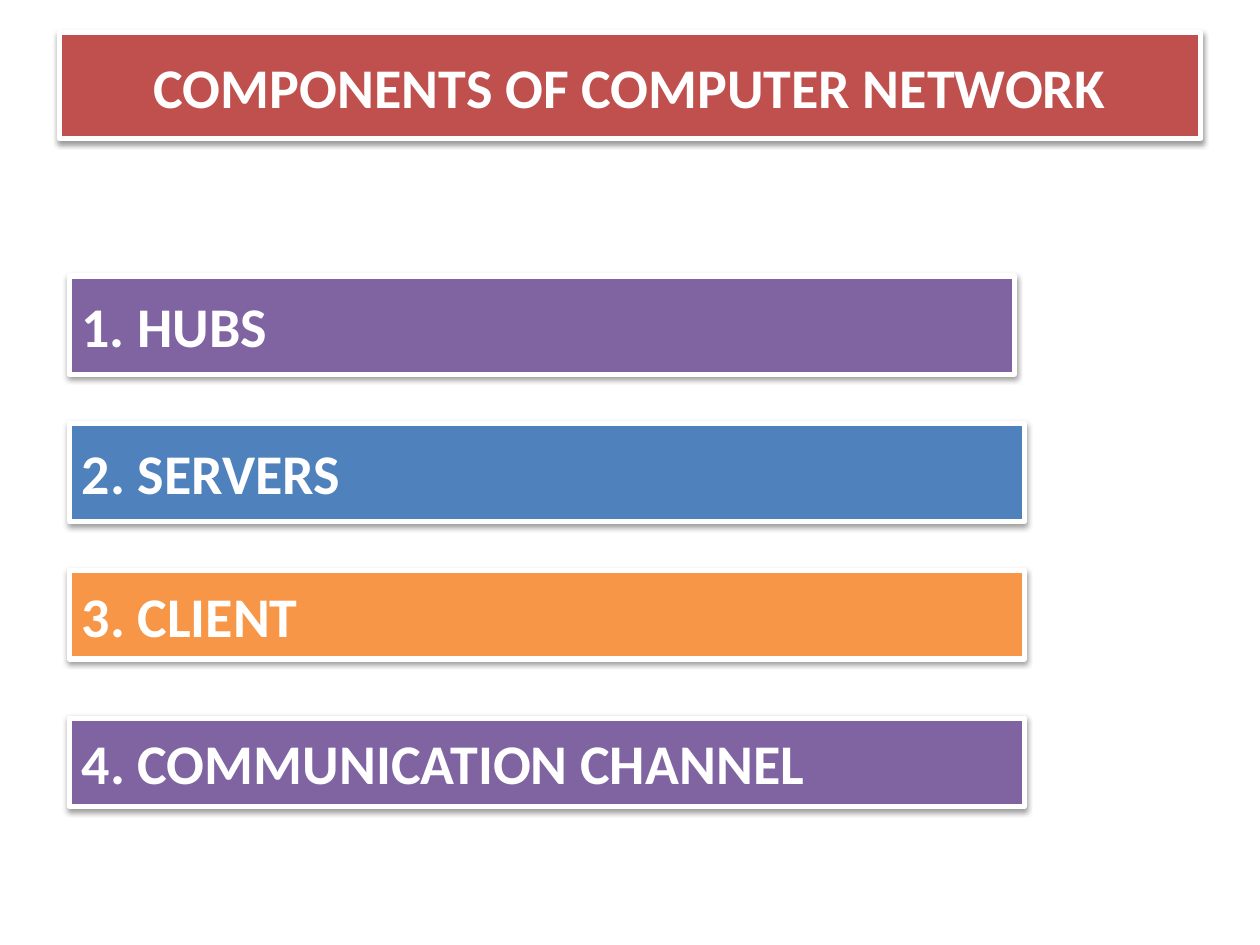
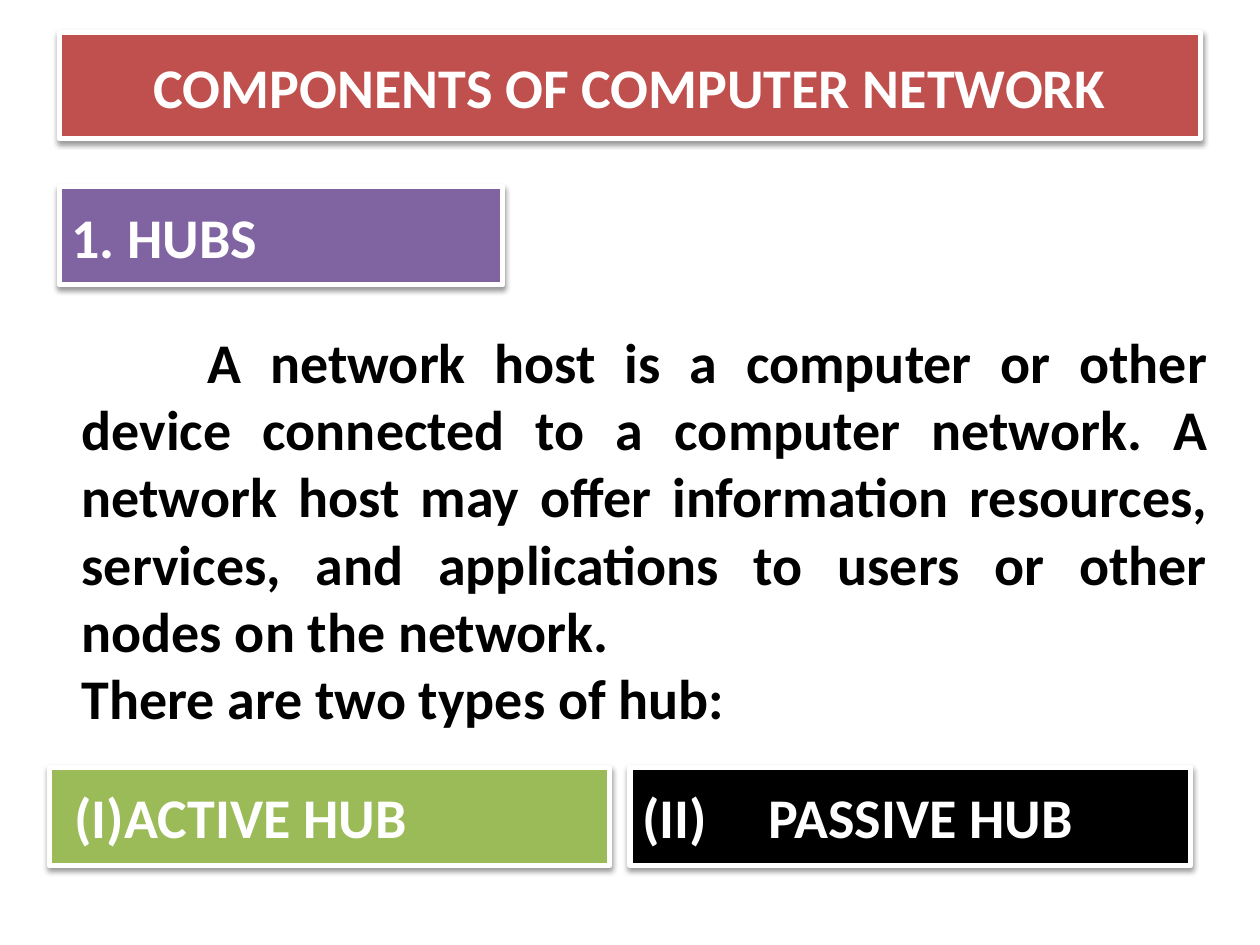
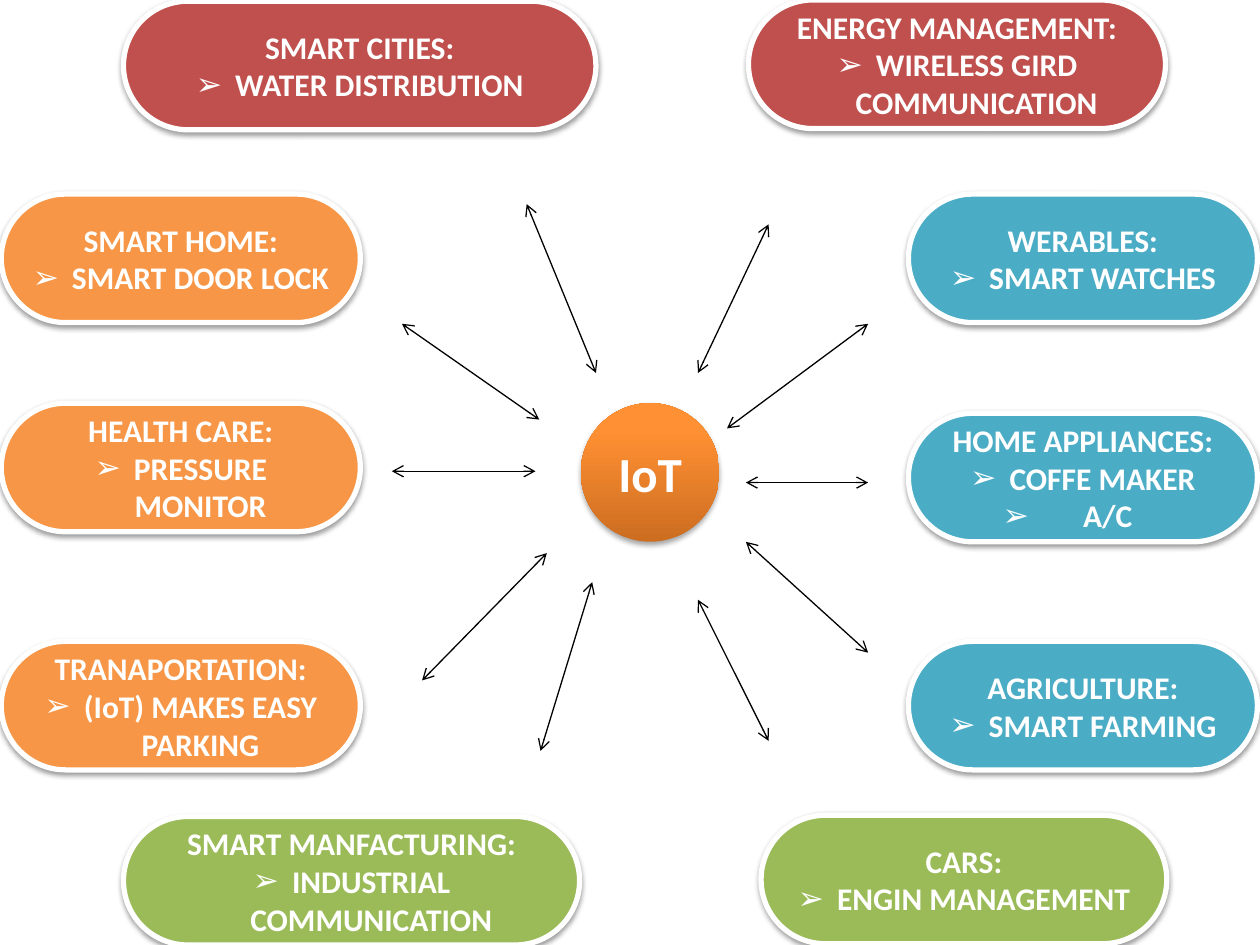
from lxml import etree
from pptx import Presentation
from pptx import util as u
from pptx.dml import color
from pptx.enum import shapes, text
from pptx.oxml import ns

PAGE = (0, 0, 720, 540)
COLORS = {
    "red": "C0504D", "purple": "8064A2", "blue": "4F81BD", "orange": "F79646",
    "green": "9BBB59", "teal": "4BACC6", "black": "000000", "white": "FFFFFF",
}
FONT = {"name": "Calibri", "bold": True}
INSETS = {"margin_left": u.Pt(7.2), "margin_right": u.Pt(7.2),
          "margin_top": u.Pt(3.6), "margin_bottom": u.Pt(3.6), "word_wrap": True}
ALIGN = text.PP_ALIGN
BULLET = "➢"
TITLE = "COMPONENTS OF COMPUTER NETWORK"


def paint(name):
    """Return the colour for a palette name or a hex string."""
    return color.RGBColor.from_string(COLORS.get(name, name))


def apply(target, values):
    """Set each named attribute of the target."""
    for name, value in values.items():
        setattr(target, name, value)


def child(parent, tag, **attributes):
    """Append a DrawingML element with the given attributes."""
    return etree.SubElement(parent, ns.qn(f"a:{tag}"),
                            {key: str(value) for key, value in attributes.items()})


def points(box):
    """Turn the numbers of a box into lengths."""
    return [u.Pt(value) for value in box]


def within(box, left, top, width, height):
    """Return a box placed relative to the corner of another."""
    return box[0] + left, box[1] + top, width, height


def write(frame, lines, size, ink="white", anchor=text.MSO_ANCHOR.MIDDLE):
    """Fill a frame with (words, alignment, margin, indent, bullet) lines."""
    apply(frame, {**INSETS, "vertical_anchor": anchor})
    for index, (words, alignment, margin, indent, bullet) in enumerate(lines):
        para = frame.add_paragraph() if index else frame.paragraphs[0]
        para.alignment = alignment
        layout = para._p.get_or_add_pPr()
        layout.set("marL", str(int(u.Pt(margin))))
        layout.set("indent", str(int(u.Pt(indent))))
        if bullet:
            child(layout, "buFont", typeface="Arial")
            child(layout, "buChar", char=bullet)
        span = para.add_run()
        span.text = words
        apply(span.font, {**FONT, "size": u.Pt(size)})
        span.font.color.rgb = paint(ink)


def add_solid(page, kind, box, fill, alpha=38, distance=1.6):
    """Add a preset shape with a white outline and a soft shadow below."""
    shape = page.shapes.add_shape(kind, *points(box))
    shape.fill.solid()
    shape.fill.fore_color.rgb = paint(fill)
    shape.line.color.rgb = paint("white")
    shape.line.width = u.Pt(3)
    shape.shadow.inherit = False
    effects = shape._element.spPr.find(ns.qn("a:effectLst"))
    shadow = child(effects, "outerShdw", blurRad=int(u.Pt(3.1)), dist=int(u.Pt(distance)),
                   dir=5400000, rotWithShape=0)
    child(child(shadow, "srgbClr", val=COLORS["black"]), "alpha", val=alpha * 1000)
    return shape


def add_bar(page, box, fill, words, alignment=ALIGN.LEFT, indent=0):
    """Add a rectangular bar with one line of large text."""
    bar = add_solid(page, shapes.MSO_SHAPE.RECTANGLE, box, fill)
    write(bar.text_frame, [(words, alignment, 0, indent, None)], 32)


def add_title(page, box):
    """Add the title band at the top of the page box."""
    add_bar(page, within(box, 33.84, 18.72, 652.32, 60.48), "red", TITLE, ALIGN.CENTER)


def add_pill(page, box, fill, heading, *items):
    """Add a rounded pill with a heading and bulleted items."""
    pill = add_solid(page, shapes.MSO_SHAPE.ROUNDED_RECTANGLE, box, fill)
    pill.adjustments[0] = 0.5
    lines = [(heading, ALIGN.CENTER, 0, 0, None)]
    for order, item in enumerate(items):
        layout = (ALIGN.LEFT, 82, -46) if order else (ALIGN.CENTER, 22.5, -22.5)
        lines.append((item, *layout, BULLET))
    write(pill.text_frame, lines, 18)


def add_hub(page, box):
    """Add the shaded circle in the centre."""
    hub = add_solid(page, shapes.MSO_SHAPE.OVAL, box, "orange", 35, 1.8)
    hub.line.fill.background()
    hub.fill.gradient()
    hub.fill.gradient_angle = 90
    stops = hub._element.spPr.find(ns.qn("a:gradFill")).find(ns.qn("a:gsLst"))
    for stop in list(stops):
        stops.remove(stop)
    for position, shade in ((0, "CC6D20"), (80, "FF9033"), (100, "FF9135")):
        child(child(stops, "gs", pos=position * 1000), "srgbClr", val=shade)
    write(hub.text_frame, [("IoT", ALIGN.CENTER, 0, 0, None)], 28)


def add_arrow(page, ends):
    """Add a thin line with an open arrowhead at both ends."""
    arrow = page.shapes.add_connector(shapes.MSO_CONNECTOR.STRAIGHT, *points(ends))
    arrow.line.color.rgb = paint("black")
    arrow.line.width = u.Pt(0.75)
    for end in ("headEnd", "tailEnd"):
        child(arrow.line._get_or_add_ln(), end, type="arrow")
    child(arrow._element.spPr, "effectLst")


def build_components(page, box):
    """Lay out the numbered list of components."""
    add_title(page, box)
    bars = (
        ("1. HUBS", "purple", 540, 56.16),
        ("2. SERVERS", "blue", 545.76, 56.16),
        ("3. CLIENT", "orange", 545.76, 50.4),
        ("4. COMMUNICATION CHANNEL", "purple", 545.76, 50.4),
    )
    for row, (words, fill, width, height) in enumerate(bars):
        add_bar(page, within(box, 39.6, 157.68 + row * 84.24, width, height), fill, words)


def build_hubs(page, box):
    """Lay out the explanation of hubs and their two types."""
    add_title(page, box)
    add_bar(page, within(box, 33.84, 106.56, 253.44, 56.16), "purple", "1. HUBS")
    body = page.shapes.add_textbox(*points(within(box, 39.6, 183.6, 658.08, 314.64)))
    definition = (
        "A network host is a computer or other device connected to a computer network. "
        "A network host may offer information resources, services, and applications "
        "to users or other nodes on the network."
    )
    lines = [(definition, ALIGN.JUSTIFY, 0, 72, None),
             ("There are two types of hub:", ALIGN.JUSTIFY, 0, 0, None)]
    write(body.text_frame, lines, 32, "black", text.MSO_ANCHOR.TOP)
    types = (("(I)\tACTIVE HUB", "green", 28.08, 7.2), ("(II)\tPASSIVE HUB", "black", 360, 0))
    for words, fill, left, indent in types:
        add_bar(page, within(box, left, 438.48, 320.4, 56.16), fill, words, indent=indent)


def build_iot(page, box):
    """Lay out the IoT circle, its arrows and the surrounding uses."""
    add_hub(page, within(box, 331.92, 230.4, 79.2, 79.2))
    left_column, right_column = (0.72, 205.2, "orange"), (519.12, 199.44, "teal")
    pills = (
        ((70.56, 270, "red"), 0.72, "SMART CITIES:", "WATER DISTRIBUTION"),
        ((427.68, 238.32, "red"), 0, "ENERGY MANAGEMENT:", "WIRELESS GIRD COMMUNICATION"),
        (left_column, 110.88, "SMART HOME:", "SMART DOOR LOCK"),
        (left_column, 230.4, "HEALTH CARE:", "PRESSURE MONITOR"),
        (left_column, 366.48, "TRANAPORTATION:", "(IoT) MAKES EASY PARKING"),
        (right_column, 110.88, "WERABLES:", "SMART WATCHES"),
        (right_column, 236.16, "HOME APPLIANCES:", "COFFE MAKER", "A/C"),
        (right_column, 366.48, "AGRICULTURE:", "SMART FARMING"),
        ((70.56, 260.64, "green"), 466.56, "SMART MANFACTURING:", "INDUSTRIAL COMMUNICATION"),
        ((434.88, 231.84, "green"), 465.84, "CARS:", "ENGIN MANAGEMENT"),
    )
    for (left, width, fill), top, *words in pills:
        add_pill(page, within(box, left, top, width, 73.44), fill, *words)
    arrows = (
        (312.48, 316.08, 241.2, 388.8), (229.68, 185.04, 308.16, 239.76),
        (338.4, 332.64, 308.88, 429.12), (439.2, 128.16, 398.88, 213.12),
        (300.96, 116.64, 340.56, 213.12), (496.08, 275.76, 426.24, 275.76),
        (496.08, 372.96, 426.24, 309.6), (496.08, 185.04, 415.44, 244.8),
        (398.88, 342.72, 439.2, 423.36), (223.92, 269.28, 306, 269.28),
    )
    for x1, y1, x2, y2 in arrows:
        add_arrow(page, (box[0] + x1, box[1] + y1, box[0] + x2, box[1] + y2))


def main():
    """Build the deck and save it."""
    deck = Presentation()
    apply(deck, {"slide_width": u.Pt(PAGE[2]), "slide_height": u.Pt(PAGE[3])})
    for build in (build_components, build_hubs, build_iot):
        build(deck.slides.add_slide(deck.slide_layouts[6]), PAGE)
    deck.save("out.pptx")


if __name__ == "__main__":
    main()
